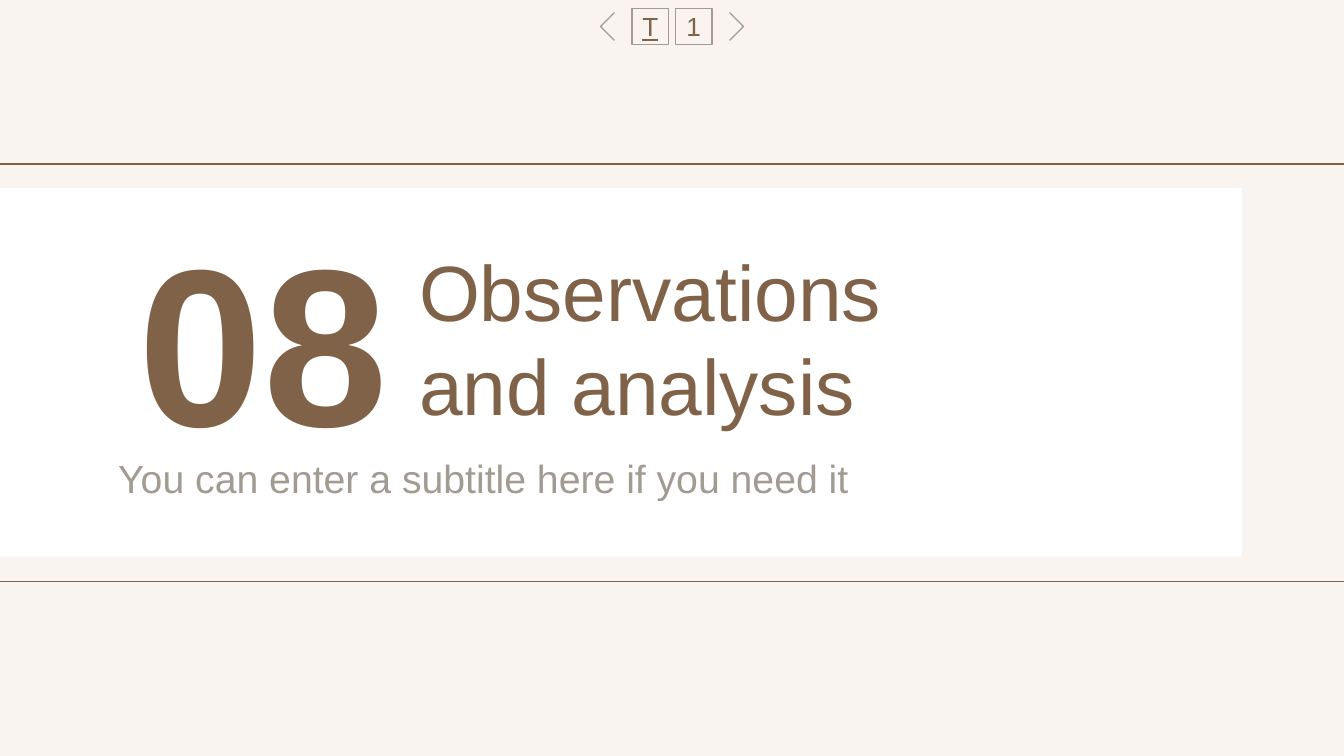
"""Build the section slide for observations and analysis."""
import pptx
import pptx.util
import pptx.dml.color
import pptx.enum.shapes
import pptx.enum.text

Pt = pptx.util.Pt
SHAPES = pptx.enum.shapes.MSO_SHAPE
ALIGN = pptx.enum.text.PP_ALIGN
ANCHOR = pptx.enum.text.MSO_ANCHOR

THEME = {
    "font": "Arial", "leading": 1.2, "line": 0.75, "inset": 7.2,
    "paper": "F9F4F0", "card": "FFFFFF", "brown": "806248", "gray": "A29B92",
    "number": 120, "title": 42, "subtitle": 21, "button": 14,
}
SLIDE_SIZE = (720, 405)
CARD = (-3.6, 100.8, 668.9, 197.3)
RULES_FRAME = (-57.6, 87.8, 856.8, 223.9)

HEADINGS = [
    ("Observations and analysis", (217.4, 125.3, 330.5, 110.2),
     {"size": "title", "anchor": ANCHOR.MIDDLE}),
    ("You can enter a subtitle here if you need it", (56.2, 236.2, 433.4, 42.5),
     {"size": "subtitle", "color": "gray"}),
    ("08", (56.2, 125.3, 169.9, 110.2),
     {"size": "number", "bold": True, "align": ALIGN.CENTER, "anchor": ANCHOR.MIDDLE}),
]
BUTTONS = [("T", True), ("1", False)]
BUTTON_SIDE, BUTTON_GAP, BUTTON_TOP = 19.6, 3.6, 4.4
ARROW_SIDE, ARROW_OFFSET = 10.3, 31
ARROWS = [(-1, 315), (1, 135)]

deck = pptx.Presentation()
deck.slide_width, deck.slide_height = map(Pt, SLIDE_SIZE)
slide = deck.slides.add_slide(deck.slide_layouts[6])


def rgb(name):
    """Return the theme colour with this name."""
    return pptx.dml.color.RGBColor.from_string(THEME[name])


def add_block(kind, box, fill=None, line=None):
    """Add a preset shape with the given fill and outline."""
    block = slide.shapes.add_shape(kind, *map(Pt, box))
    block.shadow.inherit = False
    if fill:
        block.fill.solid()
        block.fill.fore_color.rgb = rgb(fill)
    else:
        block.fill.background()
    if line:
        block.line.color.rgb = rgb(line)
        block.line.width = Pt(THEME["line"])
    else:
        block.line.fill.background()
    return block


def write(holder, text, size, color="brown", bold=False, underline=False,
          align=ALIGN.LEFT, anchor=ANCHOR.TOP, side_inset=THEME["inset"]):
    """Write one formatted paragraph into a shape."""
    frame = holder.text_frame
    frame.word_wrap = True
    frame.vertical_anchor = anchor
    frame.margin_left = frame.margin_right = Pt(side_inset)
    frame.margin_top = frame.margin_bottom = Pt(THEME["inset"])
    paragraph = frame.paragraphs[0]
    paragraph.alignment = align
    paragraph.line_spacing = Pt(THEME[size] * THEME["leading"])
    run = paragraph.add_run()
    run.text = text
    run.font.name = THEME["font"]
    run.font.size = Pt(THEME[size])
    run.font.bold = bold
    run.font.underline = underline
    run.font.color.rgb = rgb(color)


slide.background.fill.solid()
slide.background.fill.fore_color.rgb = rgb("paper")
add_block(SHAPES.RECTANGLE, CARD, fill="card")
add_block(SHAPES.RECTANGLE, RULES_FRAME, line="brown")

for text, box, style in HEADINGS:
    write(slide.shapes.add_textbox(*map(Pt, box)), text, **style)

center = SLIDE_SIZE[0] / 2
pitch = BUTTON_SIDE + BUTTON_GAP
buttons_left = center - (len(BUTTONS) * pitch - BUTTON_GAP) / 2
for index, (label, underlined) in enumerate(BUTTONS):
    button_box = (buttons_left + index * pitch, BUTTON_TOP, BUTTON_SIDE, BUTTON_SIDE)
    button = add_block(SHAPES.RECTANGLE, button_box, line="gray")
    write(button, label, "button", underline=underlined, align=ALIGN.CENTER,
          anchor=ANCHOR.MIDDLE, side_inset=0)

arrow_top = BUTTON_TOP + (BUTTON_SIDE - ARROW_SIDE) / 2
for side, rotation in ARROWS:
    arrow_left = center + side * ARROW_OFFSET - ARROW_SIDE / 2
    arrow = add_block(SHAPES.HALF_FRAME, (arrow_left, arrow_top, ARROW_SIDE, ARROW_SIDE),
                      fill="brown", line="gray")
    arrow.adjustments[0] = arrow.adjustments[1] = 0
    arrow.rotation = rotation

deck.save("out.pptx")
